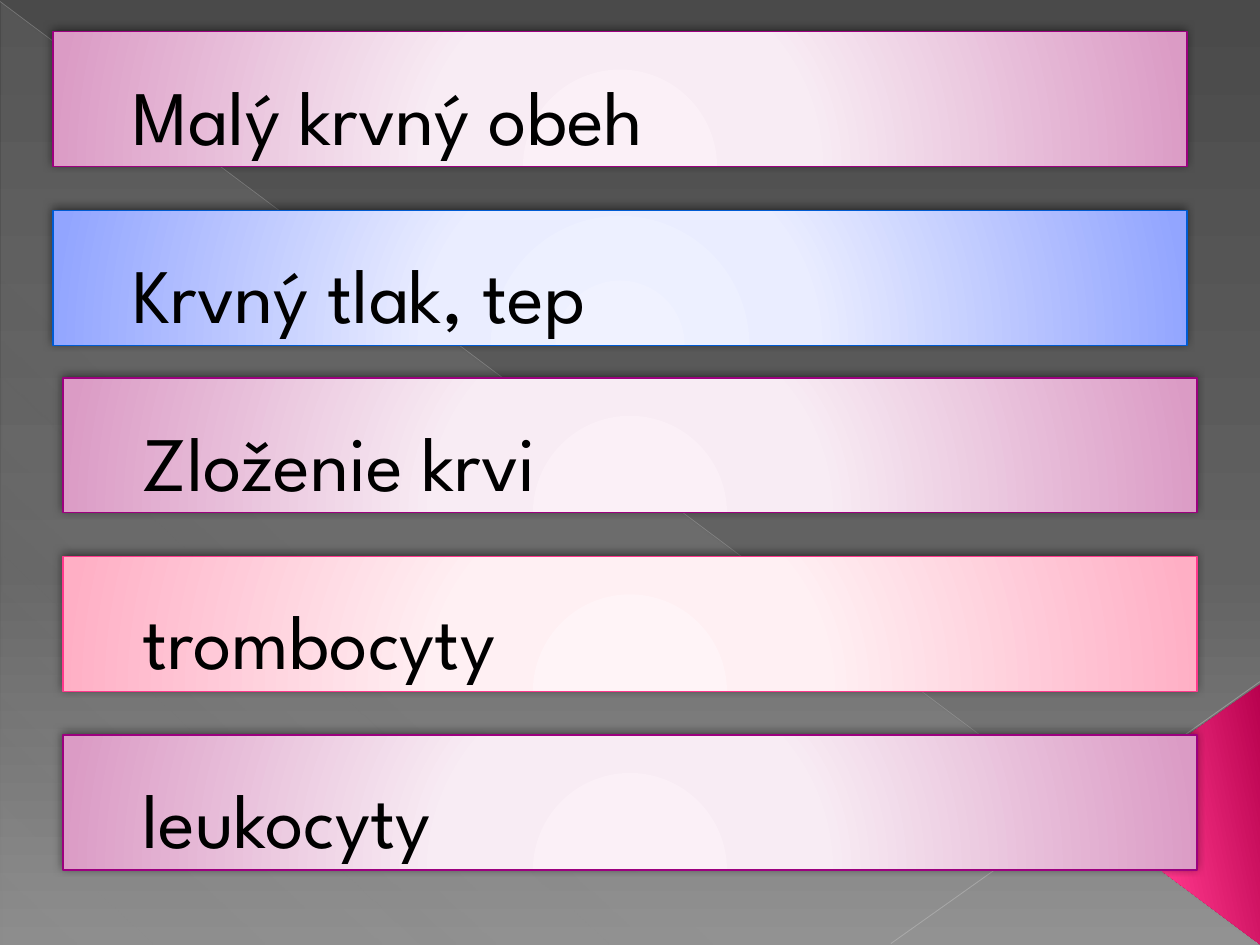
from lxml import etree
from pptx import Presentation
from pptx.dml.color import RGBColor
from pptx.enum.shapes import MSO_CONNECTOR, MSO_SHAPE
from pptx.enum.text import MSO_ANCHOR, PP_ALIGN
from pptx.oxml.ns import qn
from pptx.util import Cm, Pt

RECT, TRIANGLE = MSO_SHAPE.RECTANGLE, MSO_SHAPE.ISOSCELES_TRIANGLE
RIGHT_TRIANGLE = MSO_SHAPE.RIGHT_TRIANGLE
STRAIGHT = MSO_CONNECTOR.STRAIGHT
BOTTOM, LEFT = MSO_ANCHOR.BOTTOM, PP_ALIGN.LEFT

COLORS = {
    "text": "000000", "shadow": "000000", "sheen": "D2D2D2",
    "diagonal": "BFBFBF", "corner": "C6C6C6",
    "purple": "9C007F", "blue": "005BD3", "pink": "FF388C",
}
# Gradient stops: position, colour, opacity (all in percent)
GRADIENTS = {
    "background": [(0, "4A4A4A", 100), (60, "626262", 100), (100, "8C8C8C", 100)],
    "sheen": [(0, COLORS["sheen"], 10), (70, COLORS["sheen"], 8), (100, COLORS["sheen"], 1)],
    "arrow": [(0, "B8014E", 100), (60, "FF388C", 100), (100, "FF9CB9", 100)],
    "purple": [(0, "FBF0F7", 100), (34, "F8ECF4", 100), (100, "DB9BC5", 100)],
    "blue": [(0, "F0F2FF", 100), (34, "EAEDFF", 100), (100, "92A5FF", 100)],
    "pink": [(0, "FFF4F7", 100), (34, "FFF0F3", 100), (100, "FFAFC5", 100)],
}
GLOW_CENTRE = {"l": 50, "t": 155, "r": 50, "b": -55}
BAR_WIDTH, BAR_HEIGHT, BAR_PITCH = 22.86, 2.72, 3.6
# Each group: left, first top, bars
BAR_GROUPS = [
    (1.07, 0.64, [("Malý krvný obeh", "purple"), ("Krvný tlak, tep", "blue")]),
    (1.27, 7.62, [("Zloženie krvi", "purple"), ("trombocyty", "pink"),
                  ("leukocyty", "purple")]),
]


def add(parent, tag, **attrs):
    return etree.SubElement(parent, qn(tag), {k: str(v) for k, v in attrs.items()})


def add_color(parent, color, opacity):
    clr = add(parent, "a:srgbClr", val=color)
    if opacity < 100:
        add(clr, "a:alpha", val=opacity * 1000)


def set_gradient(holder, fill, name, angle=None):
    """Give a linear gradient, or a circular glow when there is no angle."""
    fill.solid()
    solid = holder.find(".//" + qn("a:solidFill"))
    grad = etree.Element(qn("a:gradFill"), rotWithShape="1")
    stops = add(grad, "a:gsLst")
    for pos, color, opacity in GRADIENTS[name]:
        add_color(add(stops, "a:gs", pos=pos * 1000), color, opacity)
    if angle is None:
        glow = add(grad, "a:path", path="circle")
        add(glow, "a:fillToRect", **{k: v * 1000 for k, v in GLOW_CENTRE.items()})
    else:
        add(grad, "a:lin", ang=angle * 60000, scaled=0)
    solid.getparent().replace(solid, grad)


class SlideBuilder:
    font = {"name": "League Spartan", "size": Pt(44)}
    frame = {"word_wrap": True, "vertical_anchor": BOTTOM}
    indent = Cm(1.35)

    def __init__(self, prs):
        self.s = prs.slides.add_slide(prs.slide_layouts[6])

    def background(self, name, angle):
        set_gradient(self.s.element, self.s.background.fill, name, angle)

    def shape(self, kind, box, gradient, angle=None):
        sp = self.s.shapes.add_shape(kind, *map(Cm, box))
        sp.shadow.inherit = False
        set_gradient(sp.element.spPr, sp.fill, gradient, angle)
        sp.line.fill.background()
        return sp

    def line(self, start, end, color, width, opacity):
        cx = self.s.shapes.add_connector(STRAIGHT, *map(Cm, start + end))
        cx.line.width = Pt(width)
        cx.line.color.rgb = RGBColor.from_string(COLORS[color])
        clr = cx.element.spPr.find(".//" + qn("a:srgbClr"))
        add(clr, "a:alpha", val=opacity * 1000)
        add(cx.element.spPr, "a:effectLst")

    def bar(self, left, top, text, color):
        sp = self.shape(RECT, (left, top, BAR_WIDTH, BAR_HEIGHT), color)
        sp.line.color.rgb = RGBColor.from_string(COLORS[color])
        sp.line.width = Pt(0.75)
        effects = sp.element.spPr.find(qn("a:effectLst"))
        shadow = add(effects, "a:outerShdw", blurRad=Pt(5), dist=Pt(2),
                     dir=245 * 60000, algn="ctr", rotWithShape=0)
        add_color(shadow, COLORS["shadow"], 50)
        tf = sp.text_frame
        for name, value in self.frame.items():
            setattr(tf, name, value)
        p = tf.paragraphs[0]
        p.alignment = LEFT
        p._p.get_or_add_pPr().set("marL", str(self.indent))
        r = p.add_run()
        r.text = text
        for name, value in self.font.items():
            setattr(r.font, name, value)
        r.font.color.rgb = RGBColor.from_string(COLORS["text"])


def main():
    prs = Presentation()
    prs.slide_width, prs.slide_height = Cm(25.4), Cm(19.05)
    slide = SlideBuilder(prs)
    slide.background("background", 90)
    slide.shape(RIGHT_TRIANGLE, (0.03, 0.05, 25.35, 19), "sheen", 133)
    slide.line((0, 0.03), (25.37, 19.02), "diagonal", 0.39, 35)
    slide.line((25.4, 13.74), (17.96, 19.02), "corner", 0.47, 45)
    arrow = slide.shape(TRIANGLE, (20.98, 14.61, 5.26, 3.61), "arrow", 258)
    arrow.rotation = 270
    arrow.adjustments[0] = 0.513
    for left, top, bars in BAR_GROUPS:
        for i, (text, color) in enumerate(bars):
            slide.bar(left, top + i * BAR_PITCH, text, color)
    prs.save("out.pptx")


if __name__ == "__main__":
    main()
